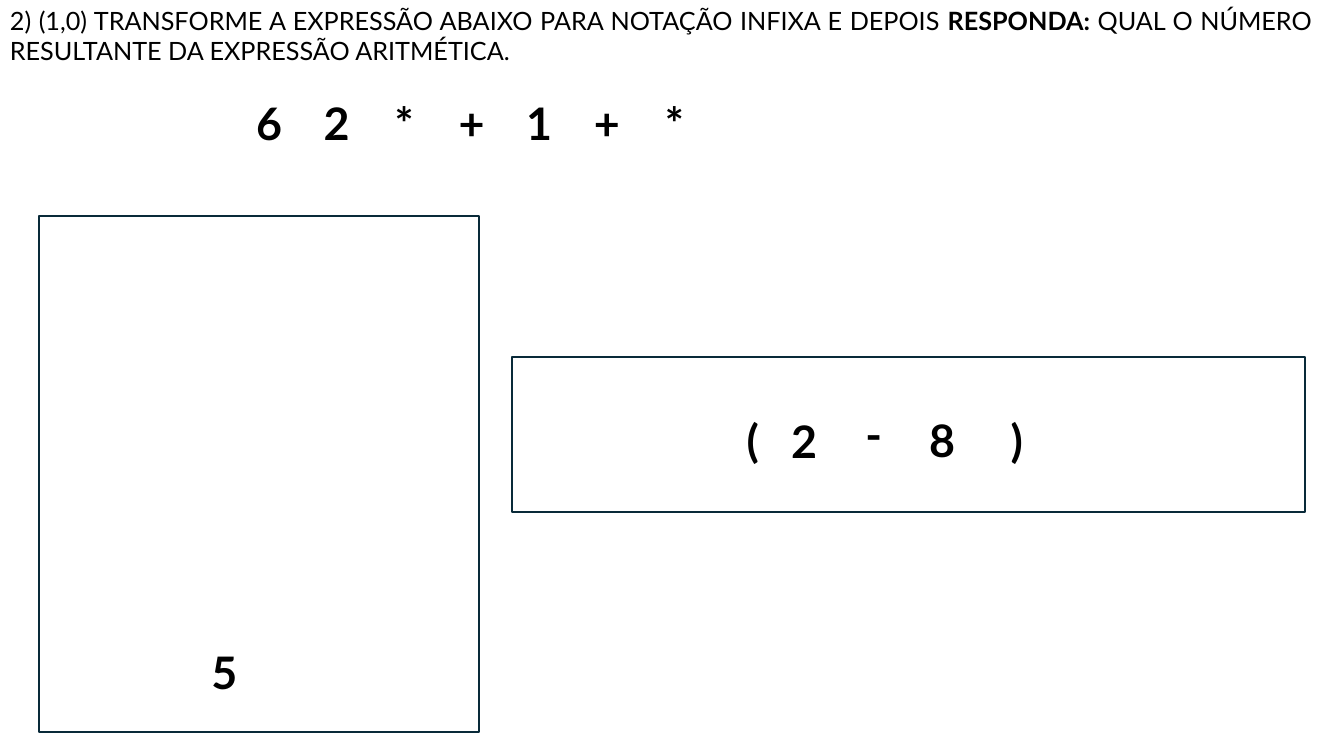
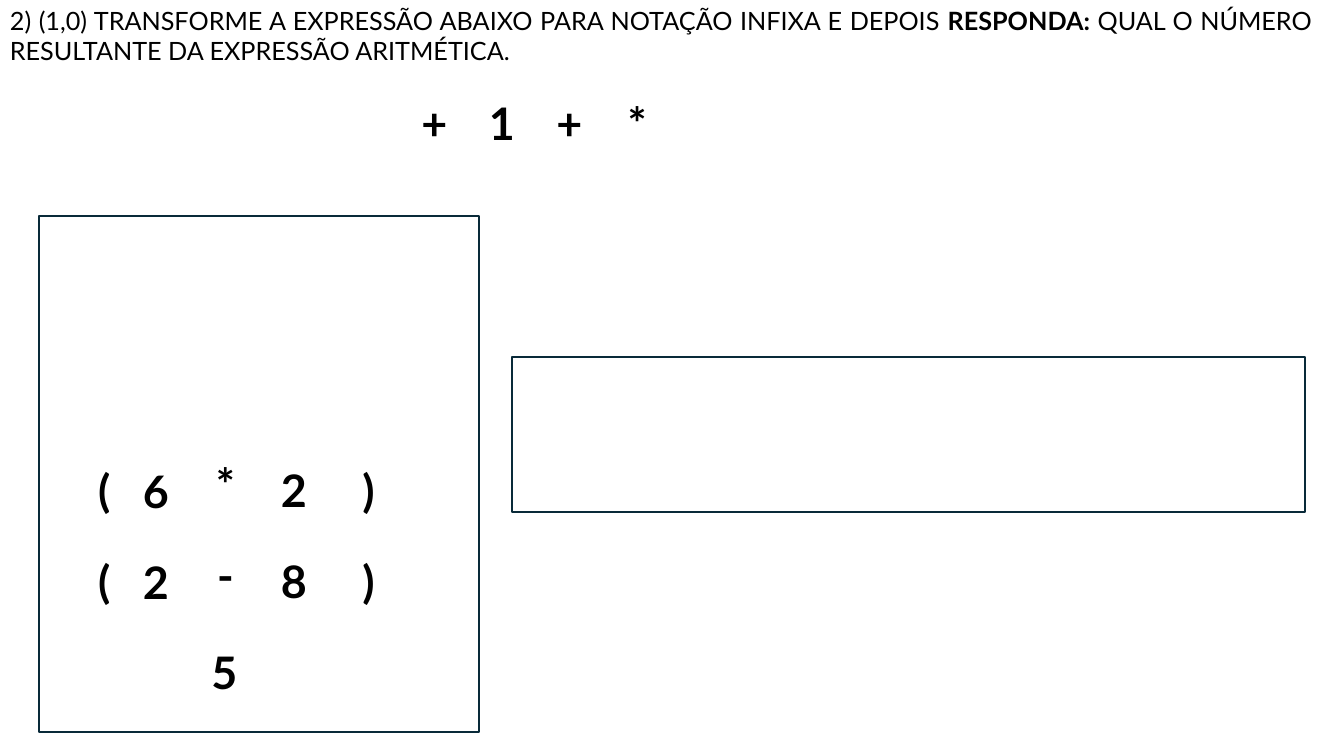
from typing import Any, NamedTuple

import lxml.etree
import pptx
import pptx.dml.color
import pptx.enum.shapes
import pptx.enum.text
import pptx.oxml.ns
import pptx.util

PX = 9144  # EMU; 100 px to the inch
FONT = "Lato"
BLACK, WHITE, NAVY = "000000", "FFFFFF", "092A39"
ALIGN = pptx.enum.text.PP_ALIGN
TOKEN_STEP = 67
SYMBOL_SIZE = 32
QUESTION_SIZE = 18


class Box(NamedTuple):
    x: int
    y: int
    w: int
    h: int


class Operation(NamedTuple):
    x: int
    y: int
    left: str
    operator: str
    right: str


class Step(NamedTuple):
    remaining: str
    first_tab: int
    operations: list[Operation]


QUESTION = Box(0, 0, 1311, 155)
STACK = Box(39, 214, 436, 512)
RESULT = Box(508, 354, 786, 154)
QUESTION_RUNS = [
    ("2) (1,0) TRANSFORME A EXPRESSÃO ABAIXO PARA NOTAÇÃO INFIXA E DEPOIS ", False),
    ("RESPONDA:", True),
    (" QUAL O NÚMERO RESULTANTE DA EXPRESSÃO ARITMÉTICA.", False),
]
# Position of each symbol from the opening parenthesis
SYMBOL_OFFSETS = [(0, 0), (51, 1), (120, -6), (188, 0), (262, 0)]

STEPS = [
    Step("62*+1+*", 257, [Operation(712, 405, "2", "-", "8")]),
    Step("+1+*", 421, [
        Operation(69, 544, "2", "-", "8"),
        Operation(69, 454, "6", "*", "2"),
    ]),
]


def rgb(color: str) -> pptx.dml.color.RGBColor:
    return pptx.dml.color.RGBColor.from_string(color)


def emu(box: Box) -> list[int]:
    return [v * PX for v in box]


def set_attributes(target: Any, values: dict[str, Any]) -> None:
    for name, value in values.items():
        setattr(target, name, value)


def add_run(p: Any, text: str, size: int, bold: bool) -> None:
    r = p.add_run()
    r.text = text
    set_attributes(r.font, {"name": FONT, "size": pptx.util.Pt(size), "bold": bold})
    r.font.color.rgb = rgb(BLACK)


def add_text_frame(slide: Any, box: Box) -> Any:
    tf = slide.shapes.add_textbox(*emu(box)).text_frame
    set_attributes(tf, {
        "word_wrap": True,
        "auto_size": pptx.enum.text.MSO_AUTO_SIZE.SHAPE_TO_FIT_TEXT,
    })
    return tf


def add_center_tabs(p: Any, first: int, count: int) -> None:
    qn = pptx.oxml.ns.qn
    tabs = lxml.etree.SubElement(p._p.get_or_add_pPr(), qn("a:tabLst"))
    for i in range(count):
        pos = (first + i * TOKEN_STEP) * PX
        lxml.etree.SubElement(tabs, qn("a:tab"), pos=str(pos), algn="ctr")


def add_question(slide: Any, step: Step) -> None:
    tf = add_text_frame(slide, QUESTION)
    p = tf.paragraphs[0]
    p.alignment = ALIGN.JUSTIFY
    for text, bold in QUESTION_RUNS:
        add_run(p, text, QUESTION_SIZE, bold)

    p = tf.add_paragraph()
    add_center_tabs(p, step.first_tab, len(step.remaining))
    set_attributes(p, {
        "alignment": ALIGN.LEFT,
        "space_before": pptx.util.Pt(QUESTION_SIZE * 1.2),
    })
    add_run(p, "".join("\t" + token for token in step.remaining), SYMBOL_SIZE, True)


def add_frame(slide: Any, box: Box) -> None:
    sp = slide.shapes.add_shape(pptx.enum.shapes.MSO_SHAPE.RECTANGLE, *emu(box))
    sp.shadow.inherit = False
    sp.fill.solid()
    sp.fill.fore_color.rgb = rgb(WHITE)
    sp.line.color.rgb = rgb(NAVY)
    sp.line.width = pptx.util.Pt(1.5)


def add_symbol(slide: Any, x: int, y: int, text: str) -> None:
    p = add_text_frame(slide, Box(x, y, 69, 64)).paragraphs[0]
    p.alignment = ALIGN.CENTER
    add_run(p, text, SYMBOL_SIZE, True)


def add_operation(slide: Any, op: Operation) -> None:
    symbols = ["(", op.left, op.operator, op.right, ")"]
    for symbol, (dx, dy) in zip(symbols, SYMBOL_OFFSETS):
        add_symbol(slide, op.x + dx, op.y + dy, symbol)


def main() -> None:
    prs = pptx.Presentation()
    set_attributes(prs, {"slide_width": 1333 * PX, "slide_height": 750 * PX})
    for step in STEPS:
        slide = prs.slides.add_slide(prs.slide_layouts[6])
        add_question(slide, step)
        for box in (STACK, RESULT):
            add_frame(slide, box)
        add_symbol(slide, 188, 635, "5")
        for op in step.operations:
            add_operation(slide, op)
    prs.save("out.pptx")


if __name__ == "__main__":
    main()
